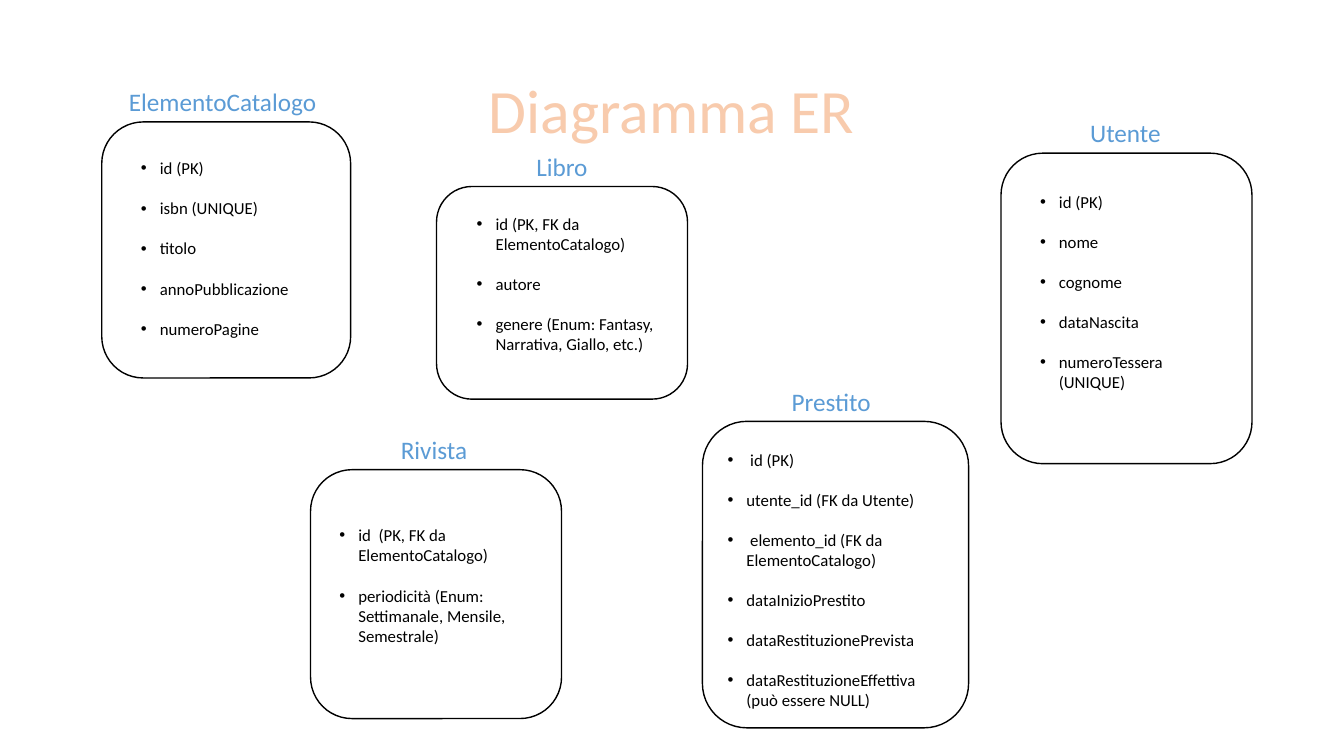
import pptx
import pptx.util
import pptx.dml.color
import pptx.enum.shapes
import pptx.enum.text
from lxml import etree

Pt = pptx.util.Pt
SHAPE = pptx.enum.shapes.MSO_SHAPE
ALIGN = pptx.enum.text.PP_ALIGN
ANCHOR = pptx.enum.text.MSO_ANCHOR

FONT = "Calibri"
COLORS = {"title": "F8CBAD", "label": "5B9BD5", "ink": "000000"}
LABEL_W = 153.4
LABEL_H = 28.8
INDENT = 13.5
GAP = 14.2

# name, box, label left, label align, list box, fields
TABLES = [
    ("ElementoCatalogo", (72.7, 87.1, 177.8, 182.9), 85, ALIGN.LEFT,
     (93.6, 109.4, 136.1, 138.2),
     ["id (PK)", "isbn (UNIQUE)", "titolo", "annoPubblicazione",
      "numeroPagine"]),
    ("Libro", (311.8, 133.2, 179.3, 151.9), 324.7, ALIGN.CENTER,
     (333.4, 149, 157, 142.6),
     ["id (PK, FK da ElementoCatalogo)", "autore",
      "genere (Enum: Fantasy, Narrativa, Giallo, etc.)"]),
    ("Prestito", (501.8, 301, 190.1, 218.9), 517, ALIGN.CENTER,
     (512.6, 317.5, 157.7, 196.6),
     [" id (PK)", "utente_id (FK da Utente)",
      " elemento_id (FK da ElementoCatalogo)", "dataInizioPrestito",
      "dataRestituzionePrevista",
      "dataRestituzioneEffettiva (può essere NULL)"]),
    ("Rivista", (221.8, 335.5, 179.3, 177.8), 233.3, ALIGN.CENTER,
     (235.4, 371.5, 151.2, 103),
     ["id  (PK, FK da ElementoCatalogo)",
      "periodicità (Enum: Settimanale, Mensile, Semestrale)"]),
    ("Utente", (715, 109.4, 179.3, 221.8), 727.2, ALIGN.CENTER,
     (735.8, 133.2, 136.1, 167.8),
     ["id (PK)", "nome", "cognome", "dataNascita",
      "numeroTessera (UNIQUE)"]),
]


def color(key):
    return pptx.dml.color.RGBColor.from_string(COLORS[key])


def add_run(para, text, size, key):
    run = para.add_run()
    run.text = text
    run.font.name = FONT
    run.font.size = Pt(size)
    run.font.color.rgb = color(key)


def add_frame(slide, area):
    frame = slide.shapes.add_textbox(*map(Pt, area)).text_frame
    frame.word_wrap = True
    return frame


def add_line(slide, area, text, size, key, align):
    frame = add_frame(slide, area)
    para = frame.paragraphs[0]
    para.alignment = align
    add_run(para, text, size, key)
    return frame


def add_box(slide, area, kind):
    box = slide.shapes.add_shape(kind, *map(Pt, area))
    box.shadow.inherit = False
    box.fill.background()
    box.line.color.rgb = color("ink")
    box.line.width = Pt(1)


def add_bullet(para):
    props = para._p.get_or_add_pPr()
    props.set("marL", str(Pt(INDENT)))
    props.set("indent", str(-Pt(INDENT)))
    space = props.nsmap["a"]
    font = etree.SubElement(props, f"{{{space}}}buFont")
    font.set("typeface", "Arial")
    mark = etree.SubElement(props, f"{{{space}}}buChar")
    mark.set("char", "•")


def add_list(slide, area, fields):
    frame = add_frame(slide, area)
    for index, field in enumerate(fields):
        para = frame.add_paragraph() if index else frame.paragraphs[0]
        if index:
            para.space_before = Pt(GAP)
        add_bullet(para)
        add_run(para, field, 12, "ink")


def add_table(slide, name, area, left, align, inner, fields):
    kind = SHAPE.ROUNDED_RECTANGLE
    if name == "ElementoCatalogo":
        kind = SHAPE.FLOWCHART_ALTERNATE_PROCESS
    add_box(slide, area, kind)
    add_list(slide, inner, fields)
    place = (left, area[1] - LABEL_H, LABEL_W, LABEL_H)
    add_line(slide, place, name, 18, "label", align)


def main():
    deck = pptx.Presentation()
    deck.slide_width = Pt(960)
    deck.slide_height = Pt(540)
    slide = deck.slides.add_slide(deck.slide_layouts[6])
    title = add_line(slide, (66, 28.8, 828, 104.4), "Diagramma ER", 44,
                     "title", ALIGN.CENTER)
    title.vertical_anchor = ANCHOR.MIDDLE
    title.paragraphs[0].line_spacing = 0.9
    for table in TABLES:
        add_table(slide, *table)
    deck.save("out.pptx")


if __name__ == "__main__":
    main()
